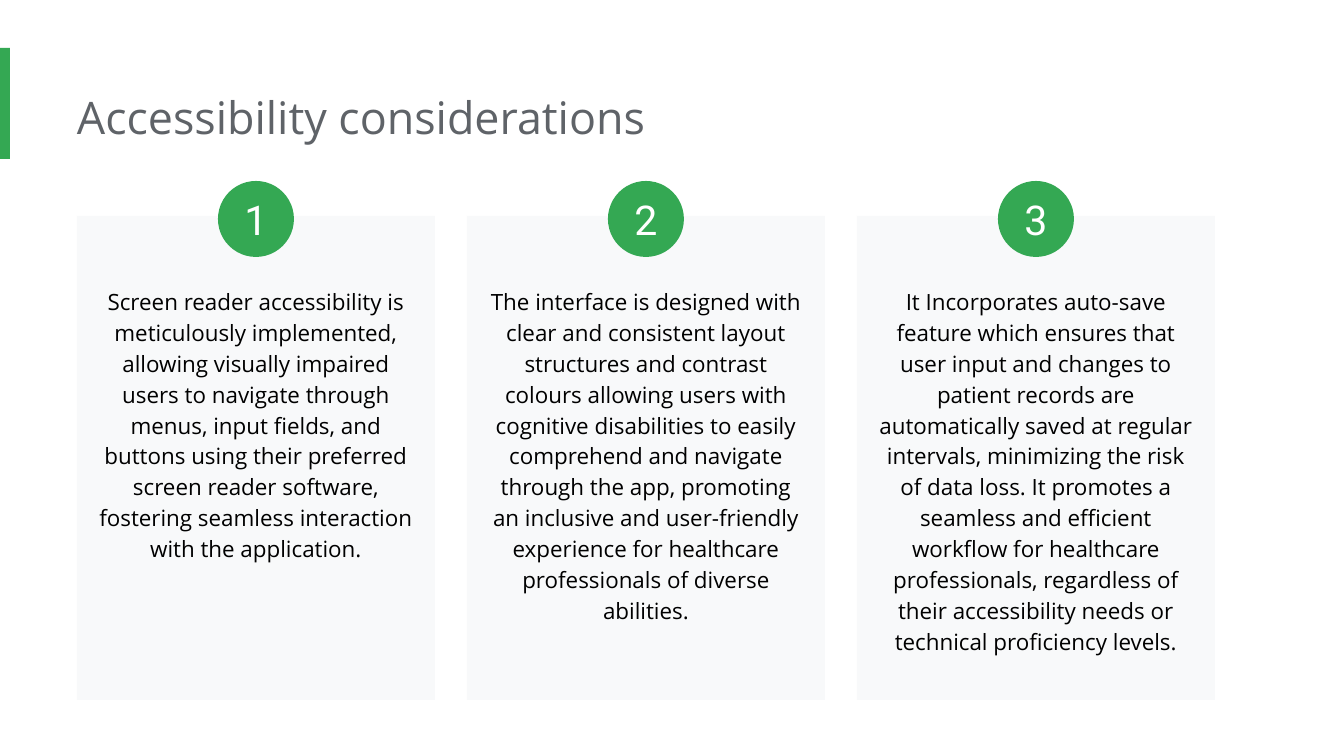
from pptx import Presentation
from pptx.dml.color import RGBColor
from pptx.enum.shapes import MSO_SHAPE
from pptx.enum.text import MSO_ANCHOR, MSO_AUTO_SIZE, PP_ALIGN
from pptx.util import Pt

TITLE = "Accessibility considerations"
# Text of each card and the height of its text box
CARDS = [
    ("Screen reader accessibility is meticulously implemented, allowing visually "
     "impaired users to navigate through menus, input fields, and buttons using "
     "their preferred screen reader software, fostering seamless interaction with "
     "the application.", 339),
    ("The interface is designed with clear and consistent layout structures and "
     "contrast colours allowing users with cognitive disabilities to easily "
     "comprehend and navigate through the app, promoting an inclusive and "
     "user-friendly experience for healthcare professionals of diverse abilities.",
     371),
    ("It Incorporates auto-save feature which ensures that user input and changes "
     "to patient records are automatically saved at regular intervals, minimizing "
     "the risk of data loss. It promotes a seamless and efficient workflow for "
     "healthcare professionals, regardless of their accessibility needs or "
     "technical proficiency levels.", 402),
]
COLORS = {"green": "34A853", "card": "F8F9FA", "title": "5F6368",
          "text": "000000", "number": "FFFFFF"}

SCALE = 914400 / 134.4
LEFT = 77
CARD_TOP, CARD_WIDTH, CARD_HEIGHT, CARD_GAP = 216, 358, 484, 32
TEXT_TOP, TEXT_WIDTH = 271, 342
BADGE_TOP, BADGE_SIZE = 181, 76
INSET = 13


def px(value):
    return round(value * SCALE)


def color(name):
    return RGBColor.from_string(COLORS[name])


def add_block(slide, kind, place, fill):
    """Add a flat filled shape without an outline."""
    block = slide.shapes.add_shape(kind, *map(px, place))
    block.shadow.inherit = False
    block.fill.solid()
    block.fill.fore_color.rgb = color(fill)
    block.line.fill.background()
    return block


def write(box, text, size, font, fill, align, insets, anchor=MSO_ANCHOR.TOP):
    frame = box.text_frame
    frame.word_wrap = True
    frame.vertical_anchor = anchor
    (frame.margin_left, frame.margin_top,
     frame.margin_right, frame.margin_bottom) = map(px, insets)
    para = frame.paragraphs[0]
    para.alignment = align
    span = para.add_run()
    span.text = text
    span.font.size = Pt(size)
    span.font.name = font
    span.font.color.rgb = color(fill)
    return frame


def add_card(slide, index, text, text_height):
    left = LEFT + index * (CARD_WIDTH + CARD_GAP)
    add_block(slide, MSO_SHAPE.RECTANGLE,
              (left, CARD_TOP, CARD_WIDTH, CARD_HEIGHT), "card")

    text_left = left + (CARD_WIDTH - TEXT_WIDTH) // 2
    box = slide.shapes.add_textbox(
        *map(px, (text_left, TEXT_TOP, TEXT_WIDTH, text_height)))
    frame = write(box, text, 12, "Open Sans", "text", PP_ALIGN.CENTER, [INSET] * 4)
    frame.auto_size = MSO_AUTO_SIZE.SHAPE_TO_FIT_TEXT
    frame.paragraphs[0].line_spacing = 1.15

    badge_left = left + (CARD_WIDTH - BADGE_SIZE) // 2
    badge = add_block(slide, MSO_SHAPE.OVAL,
                      (badge_left, BADGE_TOP, BADGE_SIZE, BADGE_SIZE), "green")
    write(badge, str(index + 1), 22, "Roboto", "number", PP_ALIGN.CENTER,
          [0] * 4, MSO_ANCHOR.MIDDLE)


def main():
    deck = Presentation()
    deck.slide_width, deck.slide_height = px(1344), px(756)
    page = deck.slides.add_slide(deck.slide_layouts[5])

    add_block(page, MSO_SHAPE.RECTANGLE, (0, 48, 10, 111), "green")
    title = page.shapes.title
    title.left, title.top, title.width, title.height = map(px, (LEFT, 77, 1029, 82))
    frame = write(title, TITLE, 24, "Open Sans", "title", PP_ALIGN.LEFT,
                  (0, INSET, INSET, INSET))
    frame.auto_size = MSO_AUTO_SIZE.SHAPE_TO_FIT_TEXT

    for index, (text, text_height) in enumerate(CARDS):
        add_card(page, index, text, text_height)
    deck.save("out.pptx")


if __name__ == "__main__":
    main()
